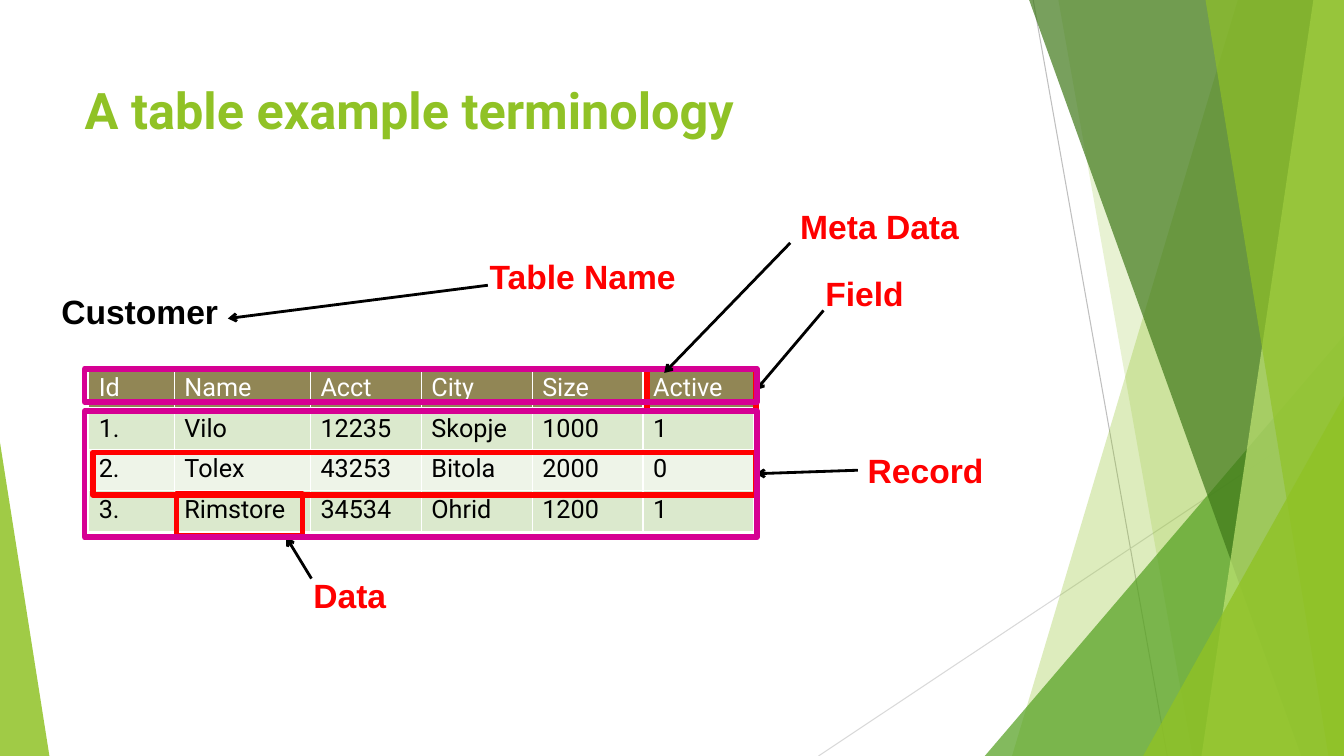
from dataclasses import dataclass
from typing import Optional

from lxml.etree import SubElement
from pptx import Presentation
from pptx.dml.color import RGBColor
from pptx.enum.shapes import MSO_CONNECTOR, MSO_SHAPE
from pptx.enum.text import MSO_ANCHOR, MSO_AUTO_SIZE, PP_ALIGN
from pptx.oxml import parse_xml
from pptx.oxml.ns import nsdecls, qn
from pptx.util import Pt


@dataclass(frozen=True)
class Theme:
    green: str = "90C226"
    mid_green: str = "54A021"
    dark_green: str = "3F7819"
    pale_green: str = "C0E474"
    black: str = "000000"
    white: str = "FFFFFF"
    red: str = "FF0000"
    magenta: str = "D60093"
    header: str = "918655"
    rows: tuple = ("DBE9CD", "EEF4E8")
    body_font: str = "Roboto"
    label_font: str = "Arial"
    title_size: float = 36
    label_size: float = 24
    cell_size: float = 18


T = Theme()
W, H = 960, 540


@dataclass
class Box:
    x: float
    y: float
    w: float
    h: float

    def lengths(self) -> list:
        return [Pt(v) for v in (self.x, self.y, self.w, self.h)]


@dataclass
class Band:
    """Panel from a slanted left edge to the right edge of the slide."""
    top_x: float
    bottom_x: float
    color: str
    alpha: int


@dataclass
class Wedge:
    box: Box
    apex: float
    color: str
    alpha: int


@dataclass
class Callout:
    text: str
    box: Box
    start: tuple
    end: tuple
    outline: Optional[Box] = None
    from_label: bool = False
    to_outline: bool = False


DECOR = [
    Band(884.16, 722.88, T.green, 30),
    Band(756, 851.76, T.green, 20),
    Wedge(Box(703.44, 239.76, 256.56, 300.24), 1, T.mid_green, 72),
    Band(735.12, 929.52, T.dark_green, 70),
    Band(938.16, 858.24, T.pale_green, 70),
    Band(861.12, 948.96, T.green, 65),
    Wedge(Box(816.48, 282.96, 143.52, 257.04), 1, T.green, 80),
    Wedge(Box(0, 316.08, 35.28, 223.92), 0, T.green, 85),
]
CUSTOMERS = [
    ("Id", "Name", "Acct", "City", "Size", "Active"),
    ("1.", "Vilo", "12235", "Skopje", "1000", "1"),
    ("2.", "Tolex", "43253", "Bitola", "2000", "0"),
    ("3.", "Rimstore", "34534", "Ohrid", "1200", "1"),
]
COLUMN_WIDTHS = [61.2, 97.2] + [79.2] * 4
ROW_HEIGHT = 29.16
CALLOUTS = [
    Callout("Table Name", Box(342.72, 179.28, 216, 36.72), (348.48, 203.76), (162.72, 227.52)),
    Callout("Field", Box(582.48, 191.52, 192.24, 36.72), (588.24, 221.76), (540.72, 278.64),
            Box(462.24, 263.52, 77.76, 30.24), to_outline=True),
    Callout("Record", Box(612.72, 317.52, 113.76, 36.72), (612.72, 335.52), (540.72, 338.4),
            Box(66.24, 323.28, 473.76, 30.24), from_label=True, to_outline=True),
    Callout("Data", Box(216.72, 406.8, 113.76, 36.72), (222.48, 413.28), (204.48, 383.76),
            Box(126, 352.8, 90, 30.24)),
]
META_DATA = Callout("Meta Data", Box(564.48, 143.28, 192.24, 36.72),
                    (564.48, 173.52), (474.48, 266.4))
TABLE_OUTLINES = [Box(60.48, 293.76, 480.24, 90), Box(60.48, 263.52, 480.24, 23.76)]


def rgb(color: str) -> RGBColor:
    return RGBColor.from_string(color)


def write(tf, text: str, *, font: str, size: float, color: str, bold: bool = False) -> None:
    p = tf.paragraphs[0]
    p.alignment = PP_ALIGN.LEFT
    r = p.add_run()
    r.text = text
    r.font.name, r.font.size, r.font.bold = font, Pt(size), bold
    r.font.color.rgb = rgb(color)


def add_line(s, start: tuple, end: tuple, color: str, width: float, arrow: bool = False):
    line = s.shapes.add_connector(MSO_CONNECTOR.STRAIGHT, *[Pt(v) for v in start + end])
    line.line.color.rgb = rgb(color)
    line.line.width = Pt(width)
    sp_pr = line.element.spPr
    if arrow:
        SubElement(sp_pr.find(qn("a:ln")), qn("a:tailEnd"), type="arrow")
    SubElement(sp_pr, qn("a:effectLst"))
    return line


def add_decor(s, part) -> None:
    if isinstance(part, Band):
        builder = s.shapes.build_freeform(Pt(part.top_x), 0)
        builder.add_line_segments([(Pt(W), 0), (Pt(W), Pt(H)), (Pt(part.bottom_x), Pt(H))])
        sp = builder.convert_to_shape()
    else:
        sp = s.shapes.add_shape(MSO_SHAPE.ISOSCELES_TRIANGLE, *part.box.lengths())
        sp.adjustments[0] = part.apex
    sp.shadow.inherit = False
    sp.line.fill.background()
    sp.fill.solid()
    sp.fill.fore_color.rgb = rgb(part.color)
    color = sp.element.spPr.find(qn("a:solidFill"))[0]
    SubElement(color, qn("a:alpha"), val=str(part.alpha * 1000))


def add_label(s, text: str, box: Box, color: str):
    label = s.shapes.add_textbox(*box.lengths())
    tf = label.text_frame
    tf.word_wrap = True
    tf.auto_size = MSO_AUTO_SIZE.SHAPE_TO_FIT_TEXT
    write(tf, text, font=T.label_font, size=T.label_size, color=color, bold=True)
    return label


def add_outline(s, box: Box, color: str):
    sp = s.shapes.add_shape(MSO_SHAPE.RECTANGLE, *box.lengths())
    sp.shadow.inherit = False
    sp.fill.background()
    sp.line.color.rgb = rgb(color)
    sp.line.width = Pt(4)
    return sp


def add_callout(s, c: Callout) -> None:
    outline = add_outline(s, c.outline, T.red) if c.outline else None
    arrow = add_line(s, c.start, c.end, T.black, 2, arrow=True)
    label = add_label(s, c.text, c.box, T.red)
    if c.from_label:
        arrow.begin_connect(label, 1)
    if c.to_outline:
        arrow.end_connect(outline, 3)


def add_customers(s) -> None:
    n_rows, n_cols = len(CUSTOMERS), len(COLUMN_WIDTHS)
    box = Box(63.36, 262.8, sum(COLUMN_WIDTHS), ROW_HEIGHT * n_rows)
    frame = s.shapes.add_table(n_rows, n_cols, *box.lengths())
    table = frame.table
    for column, width in zip(table.columns, COLUMN_WIDTHS):
        column.width = Pt(width)
    for i, values in enumerate(CUSTOMERS):
        table.rows[i].height = Pt(ROW_HEIGHT)
        for j, value in enumerate(values):
            cell = table.cell(i, j)
            cell.fill.solid()
            cell.fill.fore_color.rgb = rgb(T.rows[(i - 1) % 2] if i else T.header)
            write(cell.text_frame, value, font=T.body_font, size=T.cell_size,
                  color=T.black if i else T.white)
    # White cell borders, heavier under the header
    for k, tc_pr in enumerate(frame.element.iter(qn("a:tcPr"))):
        row = k // n_cols
        widths = {"L": 1, "R": 1, "T": 3 if row == 1 else 1, "B": 1 if row else 3}
        for pos, (side, width) in enumerate(widths.items()):
            tc_pr.insert(pos, parse_xml(
                f'<a:ln{side} {nsdecls("a")} w="{Pt(width)}"><a:solidFill>'
                f'<a:srgbClr val="{T.white}"/></a:solidFill></a:ln{side}>'))


def main() -> None:
    prs = Presentation()
    prs.slide_width, prs.slide_height = Pt(W), Pt(H)
    s = prs.slides.add_slide(prs.slide_layouts[5])

    # Background facets
    add_line(s, (738, 0), (833.76, H), "BFBFBF", 0.75)
    add_line(s, (W, 290.16), (584.64, H), "D9D9D9", 0.75)
    for part in DECOR:
        add_decor(s, part)

    # Title
    title = s.shapes.title
    title.left, title.top, title.width, title.height = Box(53.28, 48.24, 676.8, 59.76).lengths()
    title.text_frame.vertical_anchor = MSO_ANCHOR.MIDDLE
    write(title.text_frame, "A table example terminology", font=T.body_font,
          size=T.title_size, color=T.green, bold=True)

    # Table and its terminology
    add_customers(s)
    add_label(s, "Customer", Box(36.72, 204.48, 156.24, 36.72), T.black)
    for callout in CALLOUTS:
        add_callout(s, callout)
    for box in TABLE_OUTLINES:
        add_outline(s, box, T.magenta)
    add_callout(s, META_DATA)

    prs.save("out.pptx")


if __name__ == "__main__":
    main()
